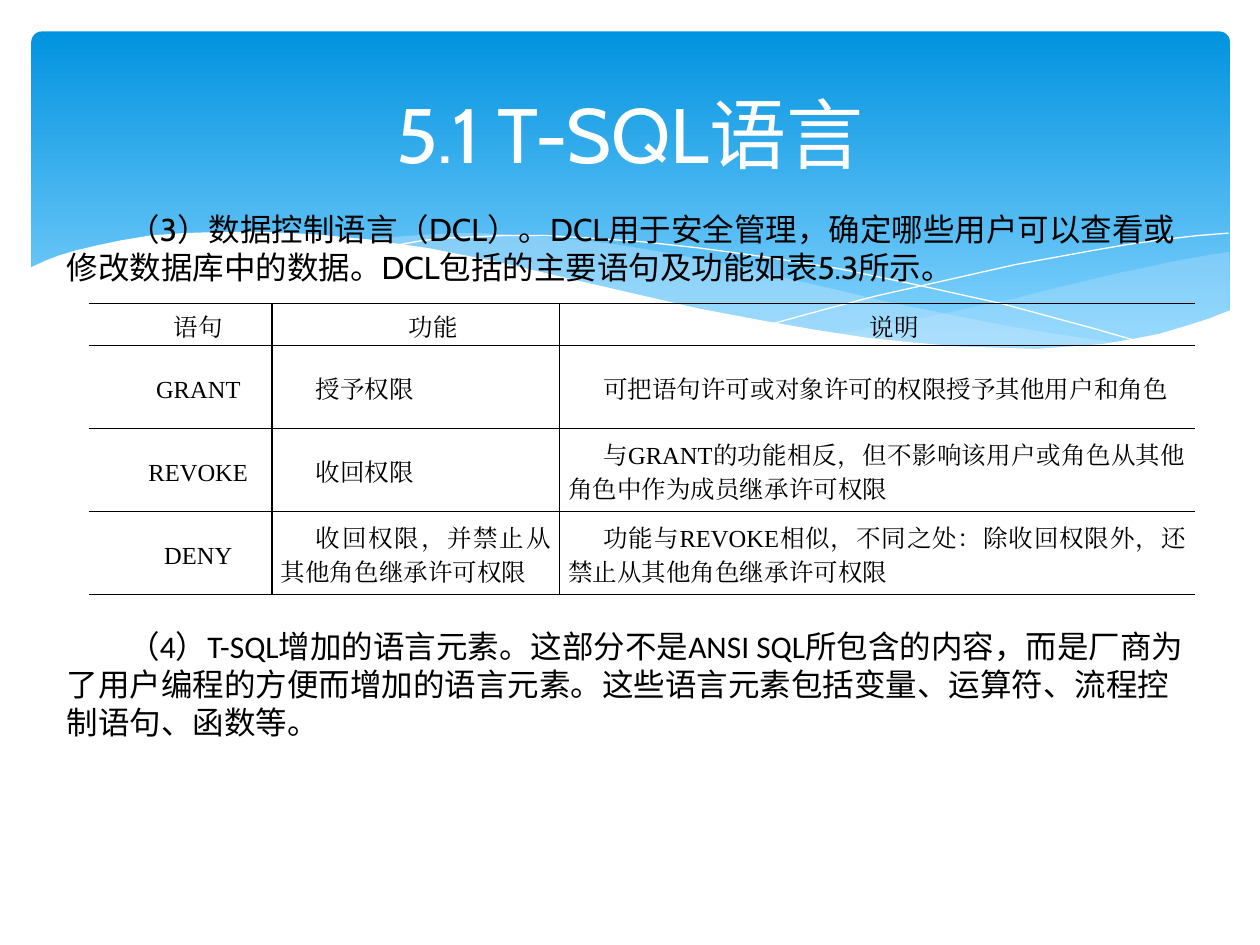
from lxml.etree import SubElement
from pptx import Presentation
from pptx.dml.color import RGBColor
from pptx.enum.shapes import MSO_SHAPE as Preset
from pptx.enum.text import MSO_ANCHOR as Anchor, PP_ALIGN as Align
from pptx.oxml import parse_xml
from pptx.oxml.ns import nsdecls, qn
from pptx.util import Pt

BLACK = RGBColor(0x00, 0x00, 0x00)
WHITE = RGBColor(0xFF, 0xFF, 0xFF)
SKY_TOP = RGBColor(0x02, 0x93, 0xE0)
SKY_BOTTOM = RGBColor(0x83, 0xD3, 0xFE)
MIST = RGBColor(0xC6, 0xE7, 0xFC)

RIGHT_WAVE = [
    (702, 144), (692.6, 145.4), (682.6, 147.2), (672.5, 149), (662, 151.2), (652, 153.4),
    (641.5, 155.5), (630.7, 158), (620, 160.6), (599, 165.6), (579.6, 170.6), (560.9, 174.2),
    (542.2, 178.6), (524.9, 182.2), (508.3, 185), (491.8, 188.6), (475.9, 190.8),
    (497.5, 193.7), (517.7, 195.8), (536.4, 198), (553.7, 199.4), (570.2, 199.4), (586, 200.2),
    (601, 199.4), (615, 198.7), (628, 198), (640, 195.8), (651.6, 193.7), (663, 190.8),
    (673.2, 188.6), (683.3, 185), (693.4, 181.4), (702.7, 177.8), (702.7, 144)]
LONG_WAVE = [
    (643, 196.6), (623.5, 193.7), (602.6, 190.8), (581, 187.2), (558, 182.9), (533.5, 177.8),
    (508.3, 172.8), (481, 166.3), (452.9, 159.8), (430.6, 154.1), (409.7, 149.8),
    (389.5, 146.2), (370, 142.6), (352, 139.7), (334.8, 137.5), (318.2, 136.1),
    (302.4, 134.6), (287.3, 133.9), (273.6, 133.2), (259.9, 133.2), (247.7, 133.9),
    (236.2, 134.6), (225.4, 135.4), (215.3, 136.1), (205.9, 137.5), (218.9, 139.7),
    (232.6, 141.1), (246.2, 143.3), (260.6, 146.2), (275.8, 149), (290.9, 151.9),
    (307.4, 155.5), (323.3, 159.8), (353.5, 167), (381.6, 172.8), (407.5, 178.6),
    (432.7, 183.6), (456.5, 187.9), (478.8, 191.5), (500.4, 194.4), (519.8, 197.3),
    (538.6, 198.7), (556.6, 199.4), (573.1, 200.2), (589, 200.2), (603.4, 200.2),
    (617, 199.4), (630.7, 198.7)]
FALLING_LINE = [
    (222.5, 140.4), (229, 139.7), (241.2, 137.5), (254.2, 136.1), (269.3, 135.4),
    (288.7, 134.6), (311.8, 134.6), (337.7, 136.1), (367.2, 138.2), (400.3, 141.8),
    (437.8, 146.9), (478.8, 153.4), (523.4, 162.7), (572.4, 173.5), (625.7, 187.9),
    (653, 195.8)]
RISING_LINE = [
    (441.4, 185), (470.2, 177.1), (500.4, 169.2), (538.6, 160.6), (580.3, 151.2),
    (623.5, 143.3), (644.4, 139.7), (665.3, 136.8), (684.7, 134.6), (702, 133.2)]
WHITE_WAVE = [
    (703.4, 177.1), (690.5, 182.2), (676.8, 186.5), (662.4, 190.8), (647.3, 193.7),
    (630, 196.6), (612, 198), (592.6, 199.4), (571, 198.7), (547.9, 198), (522.7, 195.8),
    (495.4, 193), (466.6, 188.6), (434.2, 182.9), (399.6, 176.4), (362.2, 167.8),
    (321.8, 158.4), (281.5, 149), (244.8, 141.8), (210.2, 136.8), (180, 133.9),
    (151.9, 132.5), (127.4, 132.5), (105.1, 133.2), (85.7, 134.6), (68.4, 137.5),
    (54.7, 140.4), (42.5, 143.3), (33.1, 146.2), (25.9, 149), (18, 152.6), (16.6, 153.4),
    (16.6, 236.9), (703.4, 236.9)]

STATEMENTS = [
    ("语句", "功能", "说明"),
    ("GRANT", "授予权限", "可把语句许可或对象许可的权限授予其他用户和角色"),
    ("REVOKE", "收回权限", "与GRANT的功能相反，但不影响该用户或角色从其他角色中作为成员继承许可权限"),
    ("DENY", "收回权限，并禁止从其他角色继承许可权限",
     "功能与REVOKE相似，不同之处：除收回权限外，还禁止从其他角色继承许可权限"),
]
DCL_TEXT = ("（3）数据控制语言（DCL）。DCL用于安全管理，确定哪些用户可以查看或修改"
            "数据库中的数据。DCL包括的主要语句及功能如表5.3所示。")
ELEMENTS_TEXT = ("（4）T-SQL增加的语言元素。这部分不是ANSI SQL所包含的内容，而是厂商为了"
                 "用户编程的方便而增加的语言元素。这些语言元素包括变量、运算符、流程控制语句、函数等。")


class Deck:
    heading_font = "Cabin"
    body_font = "Calibri"
    table_font = "Times New Roman"

    def __init__(self):
        self.presentation = Presentation()
        self.presentation.slide_width = Pt(720)
        self.presentation.slide_height = Pt(540)
        self.slide = self.presentation.slides.add_slide(self.presentation.slide_layouts[6])

    def sky(self, left, top, width, height):
        panel = self.slide.shapes.add_shape(
            Preset.ROUNDED_RECTANGLE, Pt(left), Pt(top), Pt(width), Pt(height))
        panel.adjustments[0] = 0.03
        panel.shadow.inherit = False
        panel.line.fill.background()
        panel.fill.gradient()
        panel.fill.gradient_angle = 270
        stops = zip(panel.fill.gradient_stops, (SKY_TOP, SKY_BOTTOM), (0, 0.9))
        for stop, color, position in stops:
            stop.color.rgb = color
            stop.position = position

    def outline(self, points, close):
        first, *rest = [(Pt(x), Pt(y)) for x, y in points]
        builder = self.slide.shapes.build_freeform(*first)
        builder.add_line_segments(rest, close=close)
        shape = builder.convert_to_shape()
        shape.shadow.inherit = False
        return shape

    def wave(self, points, color, opacity=100):
        shape = self.outline(points, True)
        shape.line.fill.background()
        shape.fill.solid()
        shape.fill.fore_color.rgb = color
        tint = shape._element.spPr.find(f"{qn('a:solidFill')}/{qn('a:srgbClr')}")
        SubElement(tint, qn("a:alpha"), val=str(opacity * 1000))

    def curve(self, points):
        shape = self.outline(points, False)
        shape.fill.background()
        shape.line.color.rgb = WHITE
        shape.line.width = Pt(0)

    def fill_frame(self, frame, content, font, size, color, align, indent=0):
        frame.word_wrap = True
        paragraph = frame.paragraphs[0]
        paragraph.text = content
        paragraph.alignment = align
        properties = paragraph._p.get_or_add_pPr()
        properties.set("marL", "0")
        properties.set("indent", str(Pt(indent)))
        paragraph.font.name = font
        paragraph.font.size = Pt(size)
        paragraph.font.color.rgb = color
        SubElement(properties.find(qn("a:defRPr")), qn("a:ea"), typeface=font)
        return paragraph

    def text(self, content, box, font, size, color, align=Align.LEFT, indent=0, anchor=Anchor.TOP):
        frame = self.slide.shapes.add_textbox(*map(Pt, box)).text_frame
        frame.vertical_anchor = anchor
        self.fill_frame(frame, content, font, size, color, align, indent)

    def border(self, cell, sides):
        properties = cell._tc.get_or_add_tcPr()
        for index, side in enumerate("LRTB"):
            paint = f'<a:solidFill><a:srgbClr val="{BLACK}"/></a:solidFill>'
            if side not in sides:
                paint = "<a:noFill/>"
            properties.insert(index, parse_xml(
                f'<a:ln{side} {nsdecls("a")} w="{Pt(1)}">{paint}</a:ln{side}>'))

    def table(self, rows, left, top, widths, heights):
        table = self.slide.shapes.add_table(
            len(rows), len(widths), Pt(left), Pt(top), Pt(sum(widths)), Pt(sum(heights))).table
        table.first_row = table.horz_banding = False
        for column, width in zip(table.columns, widths):
            column.width = Pt(width)
        for r, (contents, height) in enumerate(zip(rows, heights)):
            table.rows[r].height = Pt(height)
            for c, content in enumerate(contents):
                cell = table.cell(r, c)
                cell.fill.background()
                cell.vertical_anchor = Anchor.MIDDLE
                cell.margin_left = cell.margin_right = Pt(5)
                cell.margin_top = cell.margin_bottom = Pt(0)
                self.border(cell, ("RTB", "LRTB", "LTB")[c])
                align = Align.CENTER if r == 0 or c == 0 else Align.JUSTIFY
                paragraph = self.fill_frame(
                    cell.text_frame, content, self.table_font, 14, BLACK, align, 20)
                paragraph.line_spacing = 1.25
                paragraph.space_before = paragraph.space_after = Pt(1.2)

    def save(self):
        self.presentation.save("out.pptx")


def main():
    deck = Deck()
    deck.sky(18, 18, 684.7, 194.4)
    deck.wave(RIGHT_WAVE, MIST, 29)
    deck.wave(LONG_WAVE, MIST, 40)
    deck.curve(FALLING_LINE)
    deck.curve(RISING_LINE)
    deck.wave(WHITE_WAVE, WHITE)
    deck.text("5.1 T-SQL语言", (36, 26.6, 648, 98.6), deck.heading_font, 44, WHITE,
              Align.CENTER, anchor=Anchor.MIDDLE)
    deck.text(DCL_TEXT, (31, 116.6, 652.3, 72.7), deck.heading_font, 18, BLACK, indent=35.3)
    deck.table(STATEMENTS, 51.1, 173.5, (104.4, 164.2, 362.9), (23.8, 47.5, 47.5, 47.5))
    deck.text(ELEMENTS_TEXT, (31, 355, 652.3, 72.7), deck.body_font, 18, BLACK, indent=35.3)
    deck.save()


if __name__ == "__main__":
    main()
